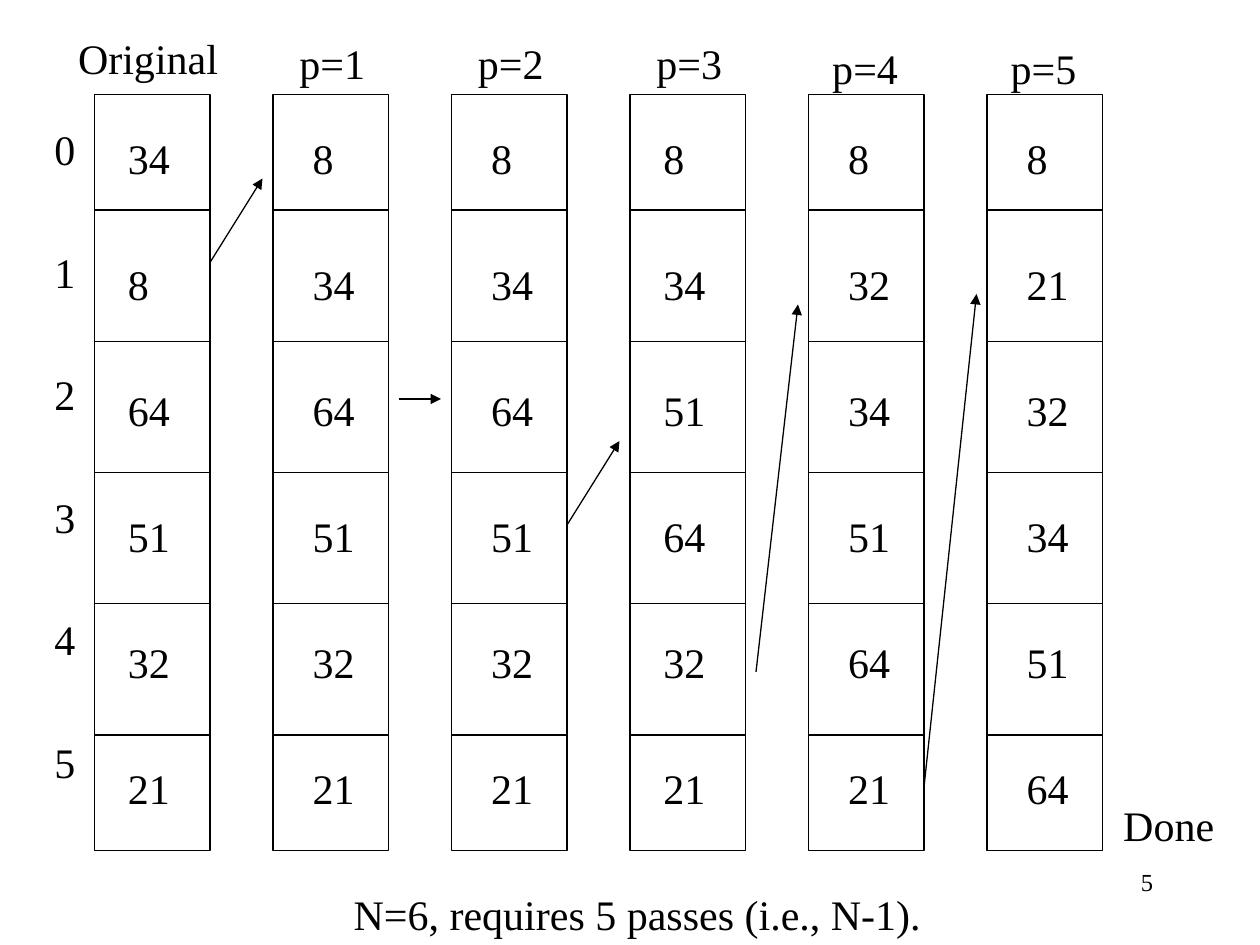
import pptx
import pptx.util
import pptx.dml.color
import pptx.enum.shapes
import pptx.enum.text
import pptx.oxml.ns
from lxml import etree
from dataclasses import dataclass

Pt = pptx.util.Pt
Align = pptx.enum.text.PP_ALIGN


@dataclass
class Theme:
    font: str = "Times New Roman"
    ink: str = "000000"
    body: float = 24
    small: float = 14
    rule: float = 0.75


class Board:
    def __init__(self, slide, theme):
        self.slide = slide
        self.theme = theme
        self.ink = pptx.dml.color.RGBColor.from_string(theme.ink)

    def stroke(self, item):
        item.line.color.rgb = self.ink
        item.line.width = Pt(self.theme.rule)

    def box(self, x, y, w, h):
        kind = pptx.enum.shapes.MSO_SHAPE.RECTANGLE
        item = self.slide.shapes.add_shape(kind, Pt(x), Pt(y), Pt(w), Pt(h))
        item.shadow.inherit = False
        item.fill.background()
        self.stroke(item)

    def line(self, start, end, arrow=False):
        kind = pptx.enum.shapes.MSO_CONNECTOR.STRAIGHT
        ends = [Pt(v) for v in (*start, *end)]
        item = self.slide.shapes.add_connector(kind, *ends)
        self.stroke(item)
        qn = pptx.oxml.ns.qn
        if arrow:
            tip = etree.SubElement(item.line._get_or_add_ln(), qn("a:tailEnd"))
            tip.set("type", "triangle")
        etree.SubElement(item._element.spPr, qn("a:effectLst"))

    def text(self, words, x, y, w, h=36, size=None, align=Align.LEFT,
             wrap=False, pack=None, gap=0):
        item = self.slide.shapes.add_textbox(Pt(x), Pt(y), Pt(w), Pt(h))
        frame = item.text_frame
        frame.text = words
        frame.word_wrap = wrap
        frame.auto_size = pptx.enum.text.MSO_AUTO_SIZE.SHAPE_TO_FIT_TEXT
        for i, para in enumerate(frame.paragraphs):
            para.alignment = align
            if pack:
                para.line_spacing = pack
                para.space_before = Pt(gap if i else 0)
            for run in para.runs:
                run.font.name = self.theme.font
                run.font.size = Pt(size or self.theme.body)
                run.font.color.rgb = self.ink


# Each pass: heading, heading left and top, inset of the values, values
PASSES = [
    ("Original", 37.5, 15, 12, (34, 8, 64, 51, 32, 21)),
    ("p=1", 164, 18, 15.5, (8, 34, 64, 51, 32, 21)),
    ("p=2", 266, 18, 15.5, (8, 34, 64, 51, 32, 21)),
    ("p=3", 368, 18, 12, (8, 34, 51, 64, 32, 21)),
    ("p=4", 468.5, 21, 15.5, (8, 32, 34, 51, 64, 21)),
    ("p=5", 570.5, 21, 15.5, (8, 21, 32, 34, 51, 64)),
]
# Where each inserted value comes from and goes to
MOVES = [
    ((120, 150), (150, 102)),
    ((228, 228), (252, 228)),
    ((324, 300), (354, 252)),
    ((432, 384), (456, 174)),
    ((528, 450), (558, 168)),
]
LEFT, TOP, WIDE, TALL, STEP = 54, 54, 66, 432, 102
RULES = range(120, 421, 75)


def main():
    deck = pptx.Presentation()
    deck.slide_width, deck.slide_height = Pt(720), Pt(540)
    theme = Theme()
    board = Board(deck.slides.add_slide(deck.slide_layouts[6]), theme)

    # Slide number
    board.text("5", 540, 492, 126, size=theme.small, align=Align.RIGHT, wrap=True)

    # Array columns with their values and headings
    for col, (head, x, y, inset, values) in enumerate(PASSES):
        left = LEFT + col * STEP
        board.box(left, TOP, WIDE, TALL)
        for rule in RULES:
            board.line((left, rule), (left + WIDE, rule))
        for row, value in enumerate(values):
            wide = 38.4 if value > 9 else 26.4
            board.text(str(value), left + inset, 72 * (row + 1), wide)
        board.text(head, x, y, 52 if col else 94.3)

    # Insertion arrows
    for start, end in MOVES:
        board.line(start, end, arrow=True)

    # Row indices and closing remarks
    board.text("Done", 634.8, 453.6, 67)
    rows = "\n".join(str(n) for n in range(6))
    board.text(rows, 24, 72.7, 30, 404, wrap=True, pack=0.8, gap=47)
    board.text("N=6, requires 5 passes (i.e., N-1).", 195, 504, 339)

    deck.save("out.pptx")


if __name__ == "__main__":
    main()
